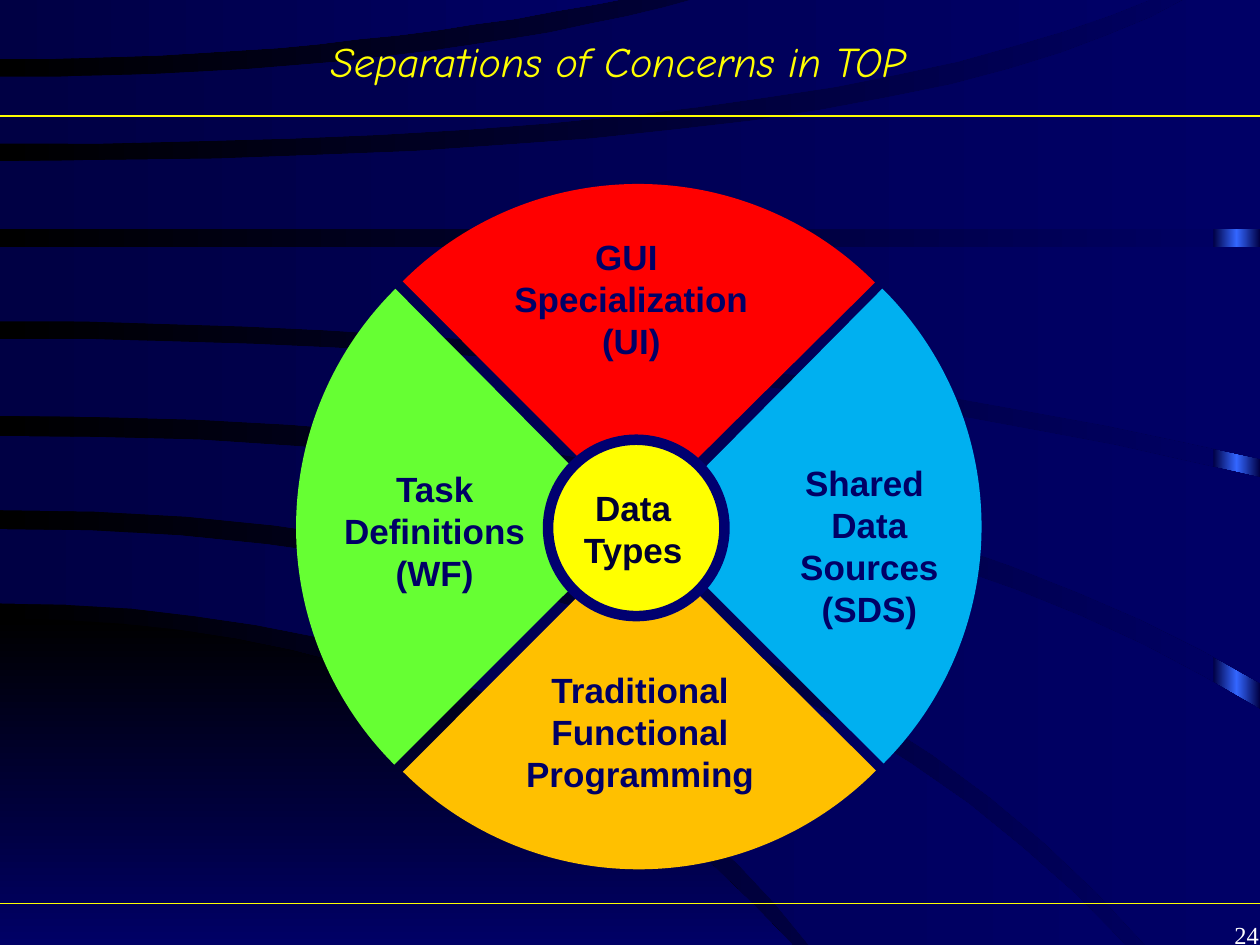
from copy import deepcopy
from dataclasses import dataclass

from lxml import etree
from pptx import Presentation
from pptx.dml.color import RGBColor
from pptx.enum.shapes import MSO_CONNECTOR, MSO_SHAPE
from pptx.enum.text import MSO_ANCHOR, MSO_AUTO_SIZE, PP_ALIGN
from pptx.oxml.ns import qn
from pptx.util import Emu, Pt

PX = 9144
STEPS = 16
RECT, OVAL, PIE = MSO_SHAPE.RECTANGLE, MSO_SHAPE.OVAL, MSO_SHAPE.PIE
LINE = MSO_CONNECTOR.STRAIGHT
CENTER, RIGHT = PP_ALIGN.CENTER, PP_ALIGN.RIGHT
TOP = MSO_ANCHOR.TOP
GROW, FIXED = MSO_AUTO_SIZE.SHAPE_TO_FIT_TEXT, MSO_AUTO_SIZE.NONE


@dataclass
class Theme:
    black: str = "000000"
    dark: str = "000044"
    navy: str = "000066"
    glow: str = "3366FF"
    rim: str = "000070"
    ink: str = "000033"
    white: str = "FFFFFF"
    yellow: str = "FFFF00"
    blue: str = "00B0F0"
    green: str = "66FF33"
    orange: str = "FFC000"
    red: str = "FF0000"
    title: int = 24
    label: int = 20
    number: int = 14


def trace(start, bend, right, end):
    points = []
    for step in range(STEPS + 1):
        t = step / STEPS
        x = 2 * t * (1 - t) * bend + t * t * right
        y = start + t * t * (end - start)
        points.append((round(x), round(y)))
    return points


class Deck:
    def __init__(self, theme):
        self.theme = theme
        self.file = Presentation()
        self.file.slide_width, self.file.slide_height = Emu(1000 * PX), Emu(750 * PX)
        self.slide = self.file.slides.add_slide(self.file.slide_layouts[6])
        self.shapes = self.slide.shapes

    def blend(self, fill, colors, angle=0):
        fill.gradient()
        fill.gradient_angle = angle
        for stop, color in zip(fill.gradient_stops, colors):
            stop.color.rgb = RGBColor.from_string(color)

    def back(self, *colors):
        self.blend(self.slide.background.fill, colors)

    def plain(self, shape):
        shape.shadow.inherit = False
        shape.line.fill.background()
        return shape

    def band(self, upper, lower, colors, angle=0):
        over, under = trace(*upper), trace(*lower)
        short, long = sorted((over[-1], under[-1]))
        points = over + [(long[0], short[1])] + under[::-1]
        pen = self.shapes.build_freeform(*points[0], scale=PX)
        pen.add_line_segments(points[1:], close=True)
        self.blend(self.plain(pen.convert_to_shape()).fill, colors, angle)

    def shape(self, kind, box, color):
        shape = self.plain(self.shapes.add_shape(kind, *[n * PX for n in box]))
        shape.fill.solid()
        shape.fill.fore_color.rgb = RGBColor.from_string(color)
        return shape

    def strip(self, box, edge, mid):
        shape = self.shape(RECT, box, edge)
        self.blend(shape.fill, (edge, mid))
        stops = next(shape._element.iter(qn("a:gsLst")))
        stops.append(deepcopy(stops[0]))
        for stop, place in zip(shape.fill.gradient_stops, (0, 0.5, 1)):
            stop.position = place

    def wedge(self, left, top, size, color, turn=0, flip=None):
        shape = self.shape(PIE, (left, top, size, size), color)
        shape.adjustments[0], shape.adjustments[1] = 81.024, 135.15
        shape.rotation = turn
        if flip:
            shape._element.spPr.xfrm.set(flip, "1")

    def disc(self, box, color, rim, width):
        shape = self.shape(OVAL, box, color)
        shape.line.color.rgb = RGBColor.from_string(rim)
        shape.line.width = Pt(width)

    def rule(self, y, color):
        line = self.shapes.add_connector(LINE, 0, y * PX, 1008 * PX, y * PX)
        line.line.color.rgb = RGBColor.from_string(color)
        line.line.width = Pt(0.75)
        etree.SubElement(line._element.spPr, qn("a:effectLst"))

    def text(self, box, lines, color, size, font="Arial", align=CENTER, fit=FIXED, **style):
        frame = self.shapes.add_textbox(*[n * PX for n in box]).text_frame
        look = {"word_wrap": True, "auto_size": fit, "vertical_anchor": TOP}
        for key, value in look.items():
            setattr(frame, key, value)
        frame.text = "\n".join(lines)
        style.update(name=font, size=Pt(size))
        for para in frame.paragraphs:
            para.alignment = align
            for run in para.runs:
                for key, value in style.items():
                    setattr(run.font, key, value)
                run.font.color.rgb = RGBColor.from_string(color)

    def label(self, box, lines, color):
        self.text(box, lines, color, self.theme.label, fit=GROW, bold=True)


HILL = (491, 394, 629, 750), (750, 315, 629, 750)
BANDS = [
    ((420, 588, 893, 750), (479, 434, 642, 750)),
    ((346, 650, 1000, 563), (405, 610, 909, 750)),
    ((269, 540, 1000, 379), (330, 640, 1000, 542)),
    ((196, 500, 1000, 196), (255, 520, 1000, 364)),
    ((128, 720, 943, -2), (182, 500, 1000, 182)),
    ((61, 330, 556, -2), (114, 650, 917, -2)),
    ((-2, 250, 501, -2), (47, 256, 501, -2)),
]


def main():
    theme = Theme()
    deck = Deck(theme)
    deck.back(theme.black, theme.navy)
    deck.band(*HILL, (theme.black, theme.navy), 270)
    deck.strip((963, 0, 37, 750), theme.dark, theme.glow)
    for upper, lower in BANDS:
        deck.band(upper, lower, (theme.dark, theme.navy))
    for y in (717, 92):
        deck.rule(y, theme.yellow)
    deck.text((930, 725, 79, 33), ["24"], theme.white, theme.number,
              "Times New Roman", RIGHT)
    deck.text((0, 23, 992, 72), ["Separations of Concerns in TOP "], theme.yellow,
              theme.title, "Comic Neue", italic=True)

    parts = [
        ((247, 152, 532, theme.blue, 0, "flipH"),
         (594, 361, 192, 145), ["Shared ", "Data", "Sources", "(SDS)"]),
        ((235, 152, 533, theme.green),
         (247, 366, 196, 111), ["Task Definitions", "(WF)"]),
        ((242, 160, 530, theme.orange, 270, "flipV"),
         (397, 526, 222, 111), ["Traditional Functional", "Programming"]),
        ((242, 146, 529, theme.red, 90),
         (397, 182, 208, 111), ["GUI ", "Specialization", "(UI)"]),
    ]
    for slice_, box, lines in parts:
        deck.wedge(*slice_)
        deck.label(box, lines, theme.navy)
    deck.disc((435, 349, 140, 140), theme.yellow, theme.rim, 6)
    deck.label((449, 381, 107, 77), ["Data", "Types"], theme.ink)
    deck.file.save("out.pptx")


if __name__ == "__main__":
    main()
